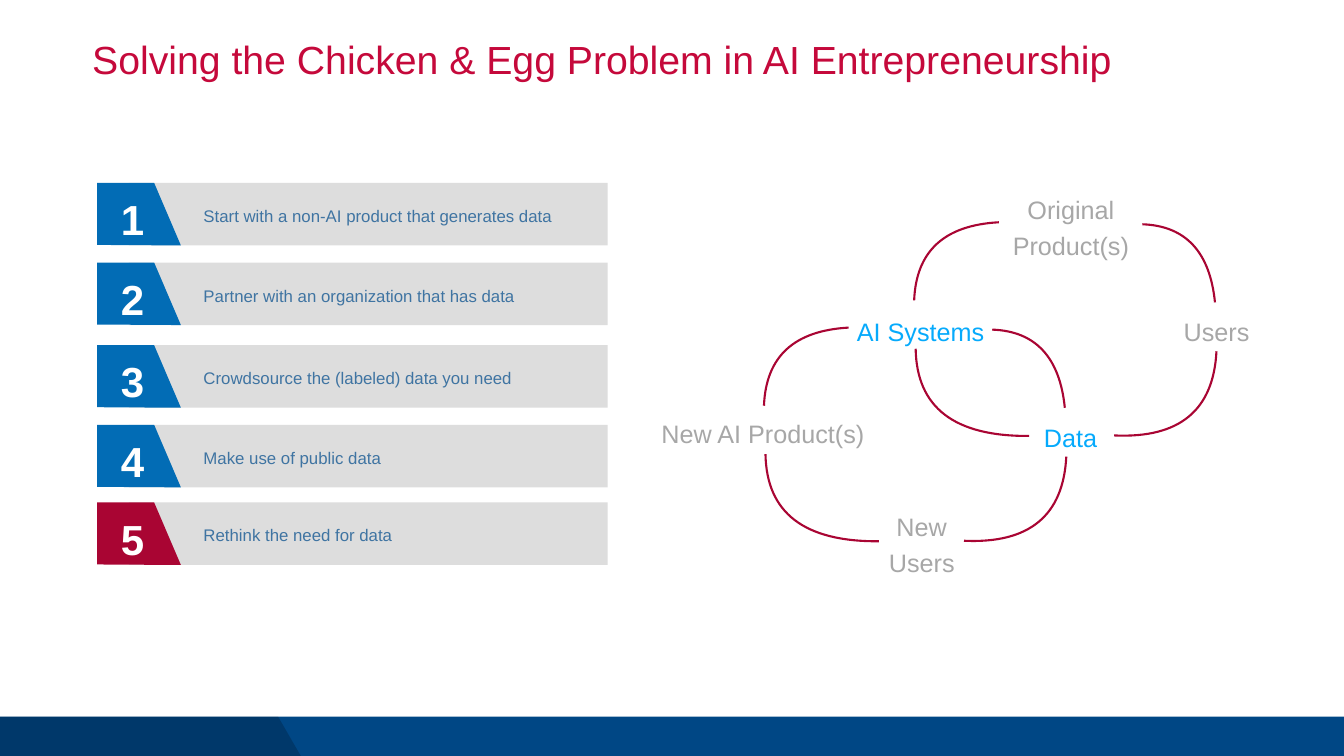
from lxml.etree import SubElement
from pptx import Presentation
from pptx.dml.color import RGBColor
from pptx.enum.shapes import MSO_SHAPE
from pptx.enum.text import MSO_ANCHOR, PP_ALIGN
from pptx.oxml.ns import qn
from pptx.util import Pt

PX = 9144  # 100 px to the inch
GREY, CYAN, RED, BLUE = "A7A7A7", "06AAFC", "A90533", "026CB5"


def paint(fill, color):
    fill.solid()
    fill.fore_color.rgb = RGBColor.from_string(color)


def write(box, text, size, color, align=PP_ALIGN.LEFT, space=1.1, inset=10, bold=False):
    frame = box.text_frame
    frame.text = text
    frame.word_wrap = True
    frame.vertical_anchor = MSO_ANCHOR.TOP
    frame.margin_left = frame.margin_right = inset * PX
    frame.margin_top = frame.margin_bottom = inset * PX
    for i, para in enumerate(frame.paragraphs):
        para.alignment = align
        para.line_spacing = space
        para.space_before = Pt(4 if i else 0)
        for run in para.runs:
            run.font.name = "Arial"
            run.font.size = Pt(size)
            run.font.bold = bold
            run.font.color.rgb = RGBColor.from_string(color)


deck = Presentation()
deck.slide_width, deck.slide_height = 2667 * PX, 1500 * PX
slide = deck.slides.add_slide(deck.slide_layouts[5])
shapes = slide.shapes

# Title
title = shapes.title
title.left, title.top, title.width, title.height = [n * PX for n in (183, 80, 2300, 121)]
write(title, "Solving the Chicken & Egg Problem in AI Entrepreneurship", 56, "C5093B",
      space=0.9, inset=0)

# Footer band with a darker slanted end
band = shapes.add_shape(MSO_SHAPE.RECTANGLE, 0, 1422 * PX, 2667 * PX, 78 * PX)
band.shadow.inherit = False
paint(band.fill, "004785")
band.line.fill.background()

pen = shapes.build_freeform(0, 1422, scale=PX)
pen.add_line_segments([(552, 1422), (597, 1500), (0, 1500)])
shade = pen.convert_to_shape()
shade.shadow.inherit = False
paint(shade.fill, "000000")
shade.line.fill.background()
tint = shade.fill._xPr.find(qn("a:solidFill"))[0]
SubElement(tint, qn("a:alpha"), val="20000")

# Two interlocking loops: the upper one is the lower one shifted
arcs = [
    [(1516, 805), (1520, 707), (1576, 656), (1684, 650)],
    [(2113, 809), (2103, 709), (2055, 657), (1969, 654)],
    [(1519, 901), (1521, 1018), (1596, 1075), (1744, 1074)],
    [(2116, 906), (2110, 1023), (2043, 1079), (1913, 1073)],
]
for dx, dy in [(0, 0), (298, -209)]:
    for arc in arcs:
        start, *rest = [(x + dx, y + dy) for x, y in arc]
        pen = shapes.build_freeform(*start, scale=PX)
        pen.add_line_segments(rest, close=False)
        curve = pen.convert_to_shape()
        curve.shadow.inherit = False
        curve.fill.background()
        paint(curve.line.fill, RED)
        curve.line.width = Pt(3)
        # Turn the three straight steps into one Bezier segment
        track = next(curve._element.iter(qn("a:path")))
        steps = track.findall(qn("a:lnTo"))
        bend = SubElement(track, qn("a:cubicBezTo"))
        for step in steps:
            bend.append(step[0])
            track.remove(step)

labels = [
    ("New AI Product(s)", 1299, 815, 430, 77, GREY),
    ("AI Systems", 1685, 612, 284, 77, CYAN),
    ("New\nUsers", 1748, 998, 162, 146, GREY),
    ("Data", 2056, 821, 137, 77, CYAN),
    ("Original\nProduct(s)", 1994, 369, 262, 146, GREY),
    ("Users", 2333, 612, 162, 77, GREY),
]
for text, x, y, w, h, color in labels:
    box = shapes.add_textbox(x * PX, y * PX, w * PX, h * PX)
    write(box, text, 36, color, PP_ALIGN.CENTER)

# Numbered strategies
items = [
    (363, "Start with a non-AI product that generates data", BLUE),
    (521, "Partner with an organization that has data", BLUE),
    (685, "Crowdsource the (labeled) data you need", BLUE),
    (843, "Make use of public data", BLUE),
    (997, "Rethink the need for data", RED),
]
for num, (top, text, color) in enumerate(items, 1):
    bar = shapes.add_shape(MSO_SHAPE.RECTANGLE, 256 * PX, top * PX, 950 * PX, 124 * PX)
    bar.shadow.inherit = False
    paint(bar.fill, "DDDDDD")
    bar.line.fill.background()

    pen = shapes.build_freeform(193, top, scale=PX)
    pen.add_line_segments([(306, top), (359, top + 124), (193, top + 123)])
    badge = pen.convert_to_shape()
    badge.shadow.inherit = False
    paint(badge.fill, color)
    badge.line.fill.background()

    box = shapes.add_textbox(230 * PX, (top + 11) * PX, 70 * PX, 113 * PX)
    write(box, str(num), 60, "FFFFFF", space=1.0, bold=True)
    box = shapes.add_textbox(394 * PX, (top + 31) * PX, 740 * PX, 58 * PX)
    write(box, text, 24, "3F74A2")

deck.save("out.pptx")
